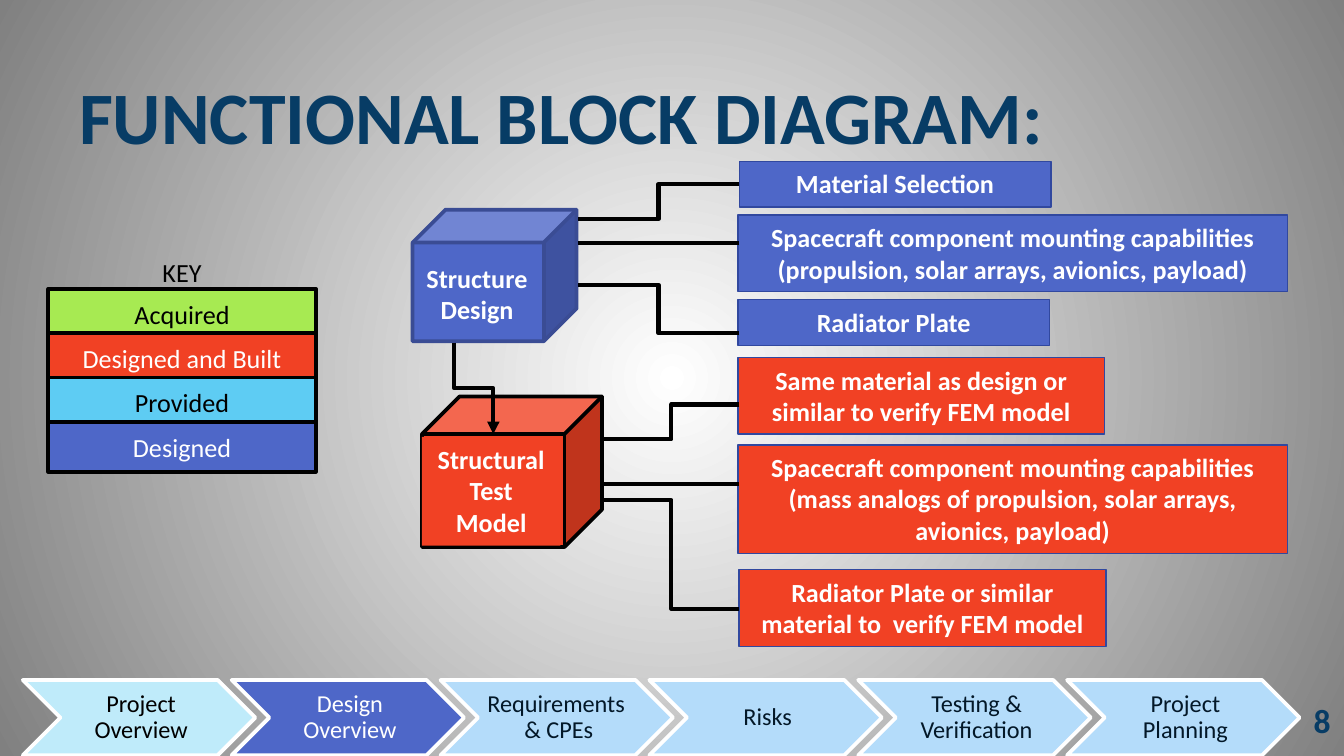
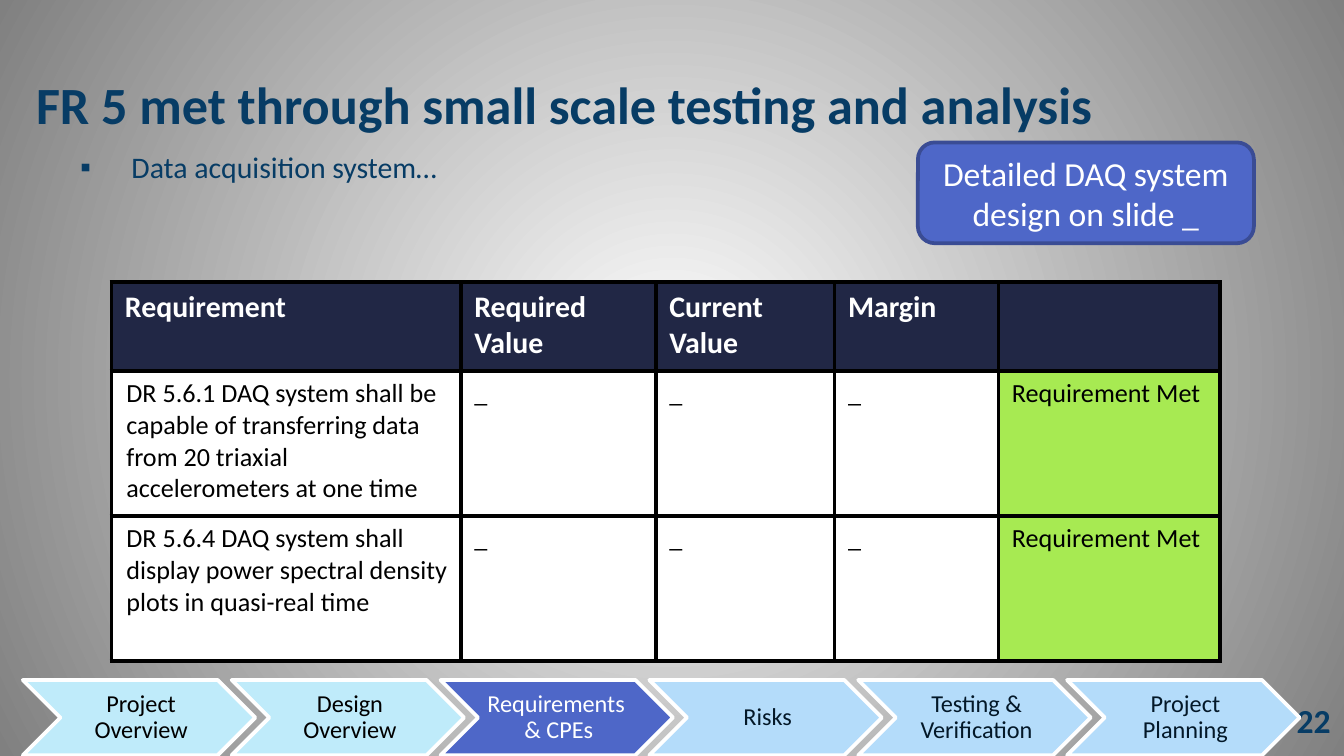
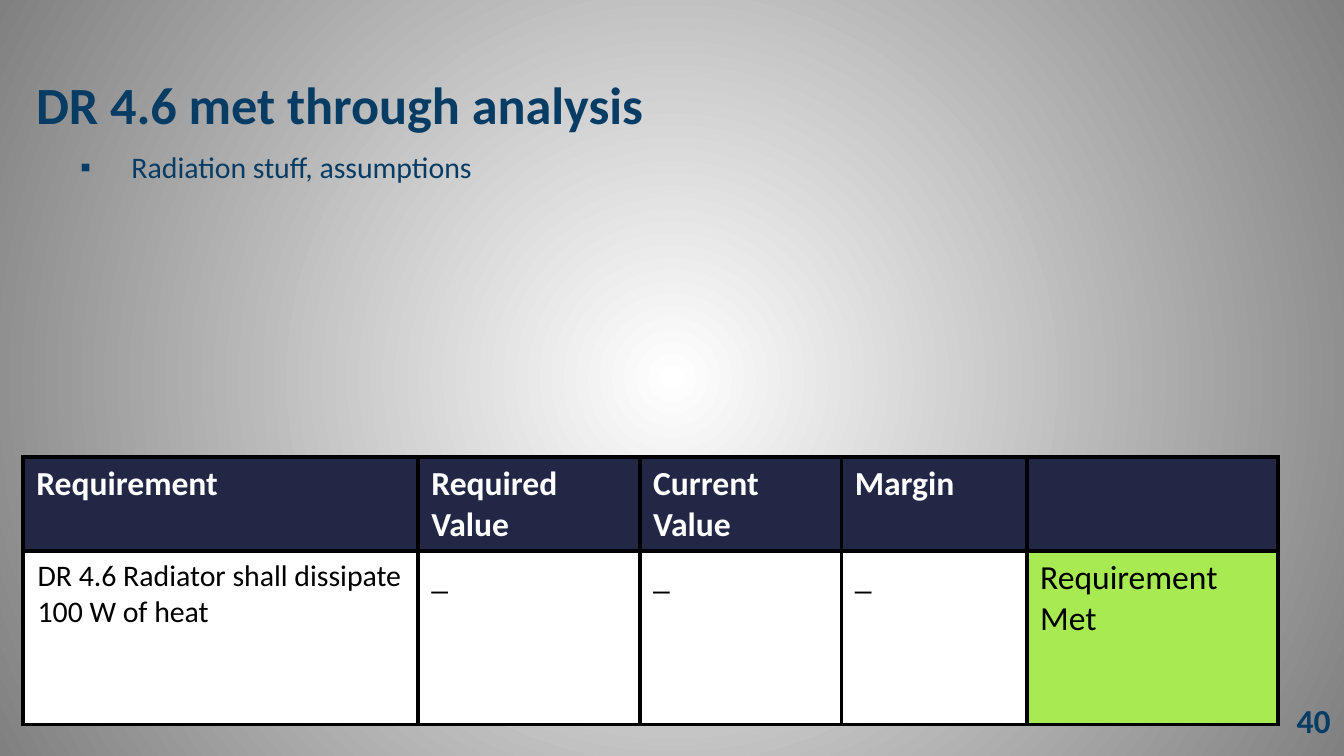
from dataclasses import dataclass
from pptx import Presentation
from pptx.dml.color import RGBColor as Rgb
from pptx.enum.shapes import MSO_CONNECTOR as Conn, MSO_SHAPE as Kind
from pptx.enum.text import MSO_ANCHOR as Anchor, PP_ALIGN as Align
from pptx.oxml import parse_xml
from pptx.oxml.ns import nsdecls, qn
from pptx.util import Inches, Pt


@dataclass(frozen=True)
class Theme:
    font: str = "Calibri"
    navy: str = "073C65"
    ink: str = "031828"
    black: str = "000000"
    white: str = "FFFFFF"
    gray: str = "808080"
    blue: str = "4E67C8"
    edge: str = "3A4C94"
    trim: str = "31489F"
    red: str = "F14124"
    green: str = "A7EA52"
    sky: str = "5ECCF3"
    done: str = "BFEBFA"
    next: str = "B4DCFA"
    head: str = "212745"
    hero: float = 39.6
    title: int = 28
    large: int = 18
    body: int = 16
    small: int = 14
    step: int = 13


T = Theme()
STEPS = ["Project Overview", "Design Overview", "Requirements  & CPEs",
         "Risks", "Testing & Verification", "Project Planning"]
HEADS = ["Requirement", "Required Value", "Current Value", "Margin", ""]


def rgb(code):
    return Rgb.from_string(code)


def node(xml):
    tag, rest = xml.split(" ", 1)
    return parse_xml(f"<{tag} {nsdecls('a')} {rest}")


def write(frame, text, size, color, bold=False, align=Align.LEFT, anchor=Anchor.TOP):
    frame.word_wrap = True
    frame.vertical_anchor = anchor
    frame.text = text
    for para in frame.paragraphs:
        para.alignment = align
        for run in para.runs:
            run.font.name = T.font
            run.font.size = Pt(size)
            run.font.bold = bold
            run.font.color.rgb = rgb(color)


def label(shapes, box, text, size, color, **style):
    item = shapes.add_textbox(*map(Inches, box))
    write(item.text_frame, text, size, color, **style)
    return item


def block(shapes, kind, box, fill, line=None, width=2):
    item = shapes.add_shape(kind, *map(Inches, box))
    item.shadow.inherit = False
    item.fill.solid()
    item.fill.fore_color.rgb = rgb(fill)
    if line:
        item.line.color.rgb = rgb(line)
        item.line.width = Pt(width)
    else:
        item.line.fill.background()
    return item


def wire(shapes, kind, start, end):
    item = shapes.add_connector(kind, *map(Inches, (*start, *end)))
    item.line.color.rgb = rgb(T.black)
    item.line.width = Pt(2.25)
    item.element.spPr.append(node("a:effectLst />"))
    return item


def drop(shapes, start, end):
    (x1, y1), (x2, y2) = start, end
    mid_x, mid_y = (x1 + x2) / 2, (y1 + y2) / 2
    half_w, half_h = (y2 - y1) / 2, (x2 - x1) / 2
    item = wire(shapes, Conn.ELBOW, (mid_x + half_w, mid_y - half_h),
                (mid_x - half_w, mid_y + half_h))
    item.element.spPr.find(qn("a:xfrm")).set("rot", "16200000")
    item.element.spPr.find(qn("a:ln")).append(node('a:tailEnd type="triangle"/>'))


def shade(master):
    fill = master.background.fill
    fill.gradient()
    for stop, color in zip(fill.gradient_stops, (T.white, T.gray)):
        stop.color.rgb = rgb(color)
    grad = next(master.element.iter(qn("a:gradFill")))
    grad.remove(grad.find(qn("a:lin")))
    grad.append(node('a:path path="circle"><a:fillToRect l="50000" t="50000" '
                     'r="50000" b="50000"/></a:path>'))


def page(deck, title, number, box=(0.17, 0.56, 9, 0.42), size=T.title):
    shapes = deck.slides.add_slide(deck.slide_layouts[6]).shapes
    label(shapes, box, title, size, T.navy, bold=True, anchor=Anchor.MIDDLE)
    label(shapes, (7.67, 5.21, 2.33, 0.3), number, T.large, T.navy, bold=True,
          align=Align.RIGHT, anchor=Anchor.MIDDLE)
    return shapes


def bullet(shapes, text):
    item = label(shapes, (0.5, 1.06, 5.42, 1.83), text, T.body, T.navy)
    para = item.text_frame.paragraphs[0]
    para.space_before = Pt(3)
    props = para._p.get_or_add_pPr()
    props.set("marL", str(Inches(0.38)))
    props.set("indent", str(Inches(-0.38)))
    props.append(node(f'a:buFont typeface="{T.font}"/>'))
    props.append(node('a:buChar char="▪"/>'))


def track(shapes, now):
    group = shapes.add_group_shape().shapes
    first, last, top, high = 0.17, 7.94, 5.06, 0.56
    gap = (last - first) / (len(STEPS) - 1)
    for i, name in enumerate(STEPS):
        if i < now:
            fill, color = T.done, T.black
        elif i == now:
            fill, color = T.blue, T.white
        else:
            fill, color = T.next, T.ink
        left = first + i * gap
        block(group, Kind.CHEVRON, (left, top, 1.73, high), fill, T.white)
        item = label(group, (left + 0.28, top, 1.16, high), name, T.step, color,
                     align=Align.CENTER, anchor=Anchor.MIDDLE)
        frame = item.text_frame
        frame.margin_left = Inches(0.06)
        frame.margin_right = frame.margin_top = frame.margin_bottom = Inches(0.02)
        frame.paragraphs[0].line_spacing = 0.9


def frame_cell(cell, fill):
    cell.fill.solid()
    cell.fill.fore_color.rgb = rgb(fill)
    props = cell._tc.get_or_add_tcPr()
    for i, side in enumerate(("lnL", "lnR", "lnT", "lnB")):
        props.insert(i, node(f'a:{side} w="{Pt(2.25)}"><a:solidFill><a:srgbClr '
                             f'val="{T.black}"/></a:solidFill></a:{side}>'))


def grid(shapes, box, wides, highs, needs, sizes):
    head_size, need_size, cell_size = sizes
    table = shapes.add_table(len(highs), len(wides), *map(Inches, box)).table
    for col, wide in zip(table.columns, wides):
        col.width = Inches(wide)
    for row, high in zip(table.rows, highs):
        row.height = Inches(high)
    for c, head in enumerate(HEADS):
        cell = table.cell(0, c)
        write(cell.text_frame, head, head_size, T.white, bold=True)
        frame_cell(cell, T.head)
    for r, need in enumerate(needs, 1):
        for c, text in enumerate([need, "_", "_", "_", "Requirement Met"]):
            cell = table.cell(r, c)
            write(cell.text_frame, text, cell_size if c else need_size, T.black)
            frame_cell(cell, T.green if c == len(HEADS) - 1 else T.white)
        para = table.cell(r, 0).text_frame.paragraphs[0]
        para._p.get_or_add_pPr().set("marL", str(Inches(0.01)))


def legend(shapes):
    group = shapes.add_group_shape().shapes
    label(group, (0.36, 1.86, 1.99, 0.34), "KEY", T.small, T.black, align=Align.CENTER)
    keys = [("Acquired", T.green, T.black), ("Designed and Built", T.red, T.white),
            ("Provided", T.sky, T.black), ("Designed", T.blue, T.white)]
    for i, (name, fill, color) in enumerate(keys):
        item = block(group, Kind.RECTANGLE, (0.36, 2.15 + 0.33 * i, 1.99, 0.37),
                     fill, T.black)
        write(item.text_frame, name, T.small, color, align=Align.CENTER,
              anchor=Anchor.MIDDLE)


def diagram(shapes):
    strong = dict(bold=True, align=Align.CENTER)
    block(shapes, Kind.CUBE, (3.07, 1.56, 1.22, 0.98), T.blue, T.edge)
    label(shapes, (2.9, 1.9, 1.3, 0.57), "Structure Design", T.small, T.white, **strong)
    group = shapes.add_group_shape().shapes
    block(group, Kind.CUBE, (3.14, 2.95, 1.34, 1.12), T.red, T.black)
    face = block(group, Kind.RECTANGLE, (3.14, 3.25, 1.03, 0.81), T.red)
    write(face.text_frame, "Structural Test Model", T.small, T.white, **strong)
    drop(shapes, (3.38, 2.55), (3.67, 3.23))
    parts = [
        ("Material Selection", (5.5, 1.2, 2.32, 0.34), T.blue),
        ("Spacecraft component mounting capabilities (propulsion, solar arrays, "
         "avionics, payload)", (5.49, 1.6, 4.09, 0.57), T.blue),
        ("Radiator Plate", (5.49, 2.23, 2.32, 0.34), T.blue),
        ("Same material as design or similar to verify FEM model",
         (5.49, 2.66, 2.73, 0.57), T.red),
        ("Spacecraft component mounting capabilities (mass analogs of propulsion, "
         "solar arrays, avionics, payload)", (5.49, 3.31, 4.09, 0.81), T.red),
        ("Radiator Plate or similar material to  verify FEM model",
         (5.5, 4.24, 2.73, 0.57), T.red),
    ]
    for text, box, fill in parts:
        item = block(shapes, Kind.RECTANGLE, box, fill, T.trim, 0.75)
        write(item.text_frame, text, T.small, T.white, **strong)
    wires = [(1.37, 4.3, 1.63), (1.81, 4.3, 1.81), (2.48, 4.3, 2.12),
             (3.01, 4.49, 3.27), (3.6, 4.49, 3.6), (4.53, 4.49, 3.72)]
    for y, end_x, end_y in wires:
        kind = Conn.STRAIGHT if y == end_y else Conn.ELBOW
        wire(shapes, kind, (5.5, y), (end_x, end_y))


def main():
    deck = Presentation()
    deck.slide_width = Inches(10)
    deck.slide_height = Inches(10) * 9 // 16
    shade(deck.slide_master)

    shapes = page(deck, "FUNCTIONAL BLOCK DIAGRAM:", "8", (0.49, 0.52, 9, 0.67), T.hero)
    legend(shapes)
    diagram(shapes)
    track(shapes, 1)

    shapes = page(deck, "FR 5 met through small scale testing and analysis", "22")
    bullet(shapes, "Data acquisition system…")
    grid(shapes, (0.83, 2.1, 8.25, 2.83), [2.6, 1.45, 1.33, 1.22, 1.65],
         [0.66, 1.08, 1.08],
         ["DR 5.6.1 DAQ system shall be capable of transferring data from 20 triaxial "
          "accelerometers at one time",
          "DR 5.6.4 DAQ system shall display power spectral density plots in "
          "quasi-real time"], (T.body, T.small, T.small))
    note = block(shapes, Kind.ROUNDED_RECTANGLE, (6.83, 1.06, 2.5, 0.75), T.blue, T.edge)
    write(note.text_frame, "Detailed DAQ system design on slide _", T.large, T.white,
          align=Align.CENTER, anchor=Anchor.MIDDLE)
    track(shapes, 2)

    shapes = page(deck, "DR 4.6 met through analysis", "40")
    bullet(shapes, "Radiation stuff, assumptions")
    grid(shapes, (0.17, 3.4, 9.33, 1.99), [2.94, 1.65, 1.5, 1.38, 1.87], [0.65, 1.29],
         ["DR 4.6 Radiator shall dissipate 100 W of heat"], (T.large, T.body, T.large))

    deck.save("out.pptx")


if __name__ == "__main__":
    main()
